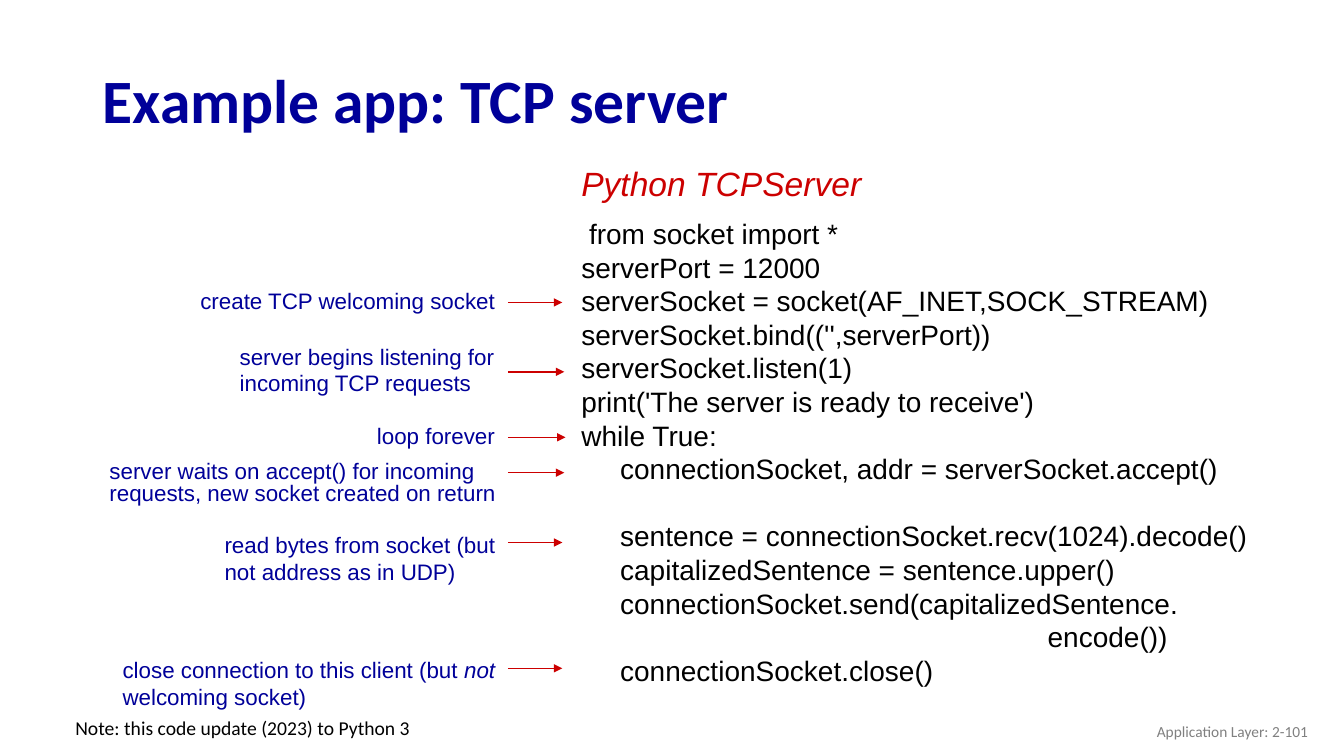
from dataclasses import dataclass

from lxml import etree
from pptx import Presentation
from pptx import util as u
from pptx.dml import color
from pptx.enum import shapes, text
from pptx.oxml import ns


@dataclass(frozen=True)
class Theme:
    navy: str = "000099"
    red: str = "CC0000"
    black: str = "000000"
    gray: str = "808080"
    sans: str = "Arial"
    head: str = "Calibri"
    title: int = 44
    sub: int = 24
    code: int = 20
    note: int = 16
    small: int = 14
    foot: int = 11


T = Theme()

CODE = """ from socket import *
serverPort = 12000
serverSocket = socket(AF_INET,SOCK_STREAM)
serverSocket.bind(('',serverPort))
serverSocket.listen(1)
print('The server is ready to receive')
while True:
     connectionSocket, addr = serverSocket.accept()

     sentence = connectionSocket.recv(1024).decode()
     capitalizedSentence = sentence.upper()
     connectionSocket.send(capitalizedSentence.
                                                            encode())
     connectionSocket.close()"""

# Box (left, top, width, height), arrow height, arrow end, tight lines, runs
TIP = 12.8
NOTES = [
    ((4.8, 7.11, 8.51, 0.94), 7.62, 14.17, False,
     ["create TCP welcoming socket"]),
    ((5.79, 8.51, 7.98, 1.63), 9.37, 14.22, False,
     ["server begins listening for incoming TCP requests"]),
    ((9.25, 10.62, 5.16, 0.84), 11.02, 14.25, True,
     ["loop forever"]),
    ((2.51, 11.51, 11.86, 1.4), 11.91, 14.22, True,
     ["server waits on accept() for incoming requests, "
      "new socket created on return"]),
    ((5.41, 13.26, 7.62, 1.63), 13.67, 14.17, False,
     ["read bytes from socket (but not address as in UDP)"]),
    ((2.84, 16.41, 10.85, 1.63), 16.84, 14.17, False,
     ["close connection to this client (but ", "not", " welcoming socket)"]),
]


def add_box(tree, box, wrap=True, mid=False):
    frame = tree.add_textbox(*map(u.Cm, box)).text_frame
    frame.word_wrap = wrap
    if mid:
        frame.vertical_anchor = text.MSO_ANCHOR.MIDDLE
    else:
        frame.auto_size = text.MSO_AUTO_SIZE.SHAPE_TO_FIT_TEXT
    return frame


def add_run(para, words, size, tint, face=T.sans, bold=False, ital=False):
    run = para.add_run()
    run.text = words
    font = run.font
    font.name, font.size = face, u.Pt(size)
    font.bold, font.italic = bold, ital
    font.color.rgb = color.RGBColor.from_string(tint)


def add_code(tree, box, code):
    frame = add_box(tree, box, wrap=False)
    para, gap = frame.paragraphs[0], False
    for row, line in enumerate(code.split("\n")):
        if not line:
            gap = True
            continue
        if row:
            para = frame.add_paragraph()
        if gap:
            para.space_before = u.Pt(1.2 * T.code)
            gap = False
        add_run(para, line, T.code, T.black)


def add_arrow(tree, left, right, top):
    line = tree.add_connector(shapes.MSO_CONNECTOR.STRAIGHT, u.Cm(left),
                              u.Cm(top), u.Cm(right), u.Cm(top))
    line.line.color.rgb = color.RGBColor.from_string(T.red)
    line.line.width = u.Pt(1)
    edge = line.line._get_or_add_ln()
    etree.SubElement(edge, ns.qn("a:tailEnd"), type="triangle")
    etree.SubElement(line._element.spPr, ns.qn("a:effectLst"))


def add_note(tree, box, top, end, tight, runs):
    group = tree.add_group_shape().shapes
    para = add_box(group, box).paragraphs[0]
    if tight:
        para.line_spacing = u.Pt(T.note)
    for words in runs:
        add_run(para, words, T.note, T.navy, ital=words == "not")
    add_arrow(group, TIP, end, top)


def main():
    deck = Presentation()
    deck.slide_width, deck.slide_height = u.Cm(33.87), u.Cm(19.05)
    tree = deck.slides.add_slide(deck.slide_layouts[6]).shapes

    # Title
    frame = add_box(tree, (2.34, 1.24, 29.21, 2.49), mid=True)
    add_run(frame.paragraphs[0], "Example app: TCP server", T.title, T.navy,
            T.head, bold=True)

    # Code and its heading
    add_code(tree, (14.4, 5.33, 17.42, 12.22), CODE)
    frame = add_box(tree, (14.4, 3.99, 7.85, 1.3), wrap=False)
    add_run(frame.paragraphs[0], "Python TCPServer", T.sub, T.red, ital=True)

    # Notes with arrows to the code
    for note in NOTES:
        add_note(tree, *note)

    # Footer
    frame = add_box(tree, (25.6, 17.91, 7.62, 1.02), mid=True)
    frame.paragraphs[0].alignment = text.PP_ALIGN.RIGHT
    add_run(frame.paragraphs[0], "Application Layer: 2-101", T.foot, T.gray,
            T.head)
    frame = add_box(tree, (1.65, 17.91, 9.04, 0.86), wrap=False)
    add_run(frame.paragraphs[0], "Note: this code update (2023) to Python 3",
            T.small, T.black, T.head)

    deck.save("out.pptx")


if __name__ == "__main__":
    main()
